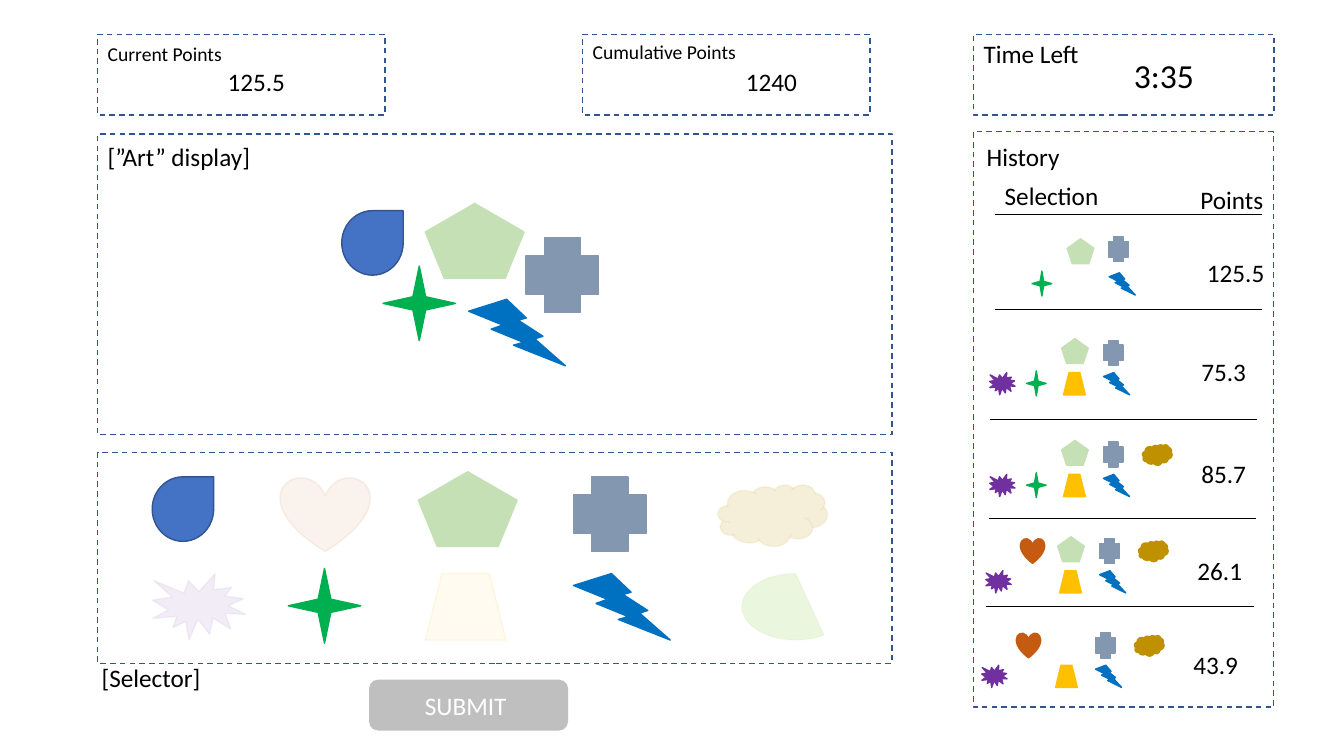
"""Build the slide of a shape-selection game with panels, art, selector and history."""
from lxml.etree import SubElement
from pptx import Presentation
from pptx.dml.color import RGBColor
from pptx.enum.dml import MSO_LINE
from pptx.enum.shapes import MSO_CONNECTOR, MSO_SHAPE as Shape
from pptx.enum.text import MSO_ANCHOR, MSO_AUTO_SIZE, PP_ALIGN
from pptx.oxml.ns import qn
from pptx.util import Pt

BLACK = RGBColor(0x00, 0x00, 0x00)
WHITE = RGBColor(0xFF, 0xFF, 0xFF)
GRAY = RGBColor(0xBF, 0xBF, 0xBF)
NAVY = RGBColor(0x32, 0x54, 0x91)
BLUE = RGBColor(0x44, 0x72, 0xC4)
RUST = RGBColor(0xC5, 0x5A, 0x11)
PALE_GREEN = RGBColor(0xC5, 0xE0, 0xB4)
SLATE = RGBColor(0x84, 0x97, 0xB0)
OCHRE = RGBColor(0xBF, 0x90, 0x00)
PURPLE = RGBColor(0x70, 0x30, 0xA0)
GREEN = RGBColor(0x00, 0xB0, 0x50)
GOLD = RGBColor(0xFF, 0xC0, 0x00)
BRIGHT_BLUE = RGBColor(0x00, 0x70, 0xC0)
LIME = RGBColor(0x92, 0xD0, 0x50)

PANELS = [
    (69.8, 323.3, 567.4, 150.5),
    (69.8, 95.8, 567.4, 214.6),
    (695.2, 94, 214.6, 411.1),
    (69.8, 24.5, 205.2, 57.6),
    (416.2, 24.5, 205.2, 57.6),
    (695.5, 24.5, 214.6, 57.6),
]
LABELS = [
    ("[Selector]", 65.5, 469.4, 85.7, 18),
    ("[”Art” display]", 69.8, 97.2, 117.4, 18),
    ("Current Points", 69.8, 26.6, 97.2, 14),
    ("Cumulative Points", 416.2, 25.2, 151.2, 14),
    ("Time Left", 695.5, 23.8, 83.5, 18),
    ("History", 697.7, 97.2, 67, 18),
    ("Selection", 710.6, 125.3, 81.4, 18),
    ("Points", 850.3, 128.2, 59.8, 18),
    ("3:35", 802.8, 36, 57.6, 24),
    ("1240", 525.6, 43.9, 51.1, 18),
    ("125.5", 155.5, 43.9, 56.2, 18),
]
ICONS = {
    "teardrop": (Shape.TEAR, BLUE, NAVY, 108.7, 340.6, 43.9, 46.1),
    "heart": (Shape.HEART, RUST, RUST, 200.2, 340.6, 64.1, 53.3),
    "pentagon": (Shape.REGULAR_PENTAGON, PALE_GREEN, PALE_GREEN, 298.8, 337, 70.6, 53.3),
    "plus": (Shape.CROSS, SLATE, SLATE, 409.7, 340.6, 51.8, 53.3),
    "cloud": (Shape.CLOUD, OCHRE, OCHRE, 512.6, 346.3, 78.5, 43.9),
    "burst": (Shape.EXPLOSION1, PURPLE, PURPLE, 108.7, 409.7, 67, 47.5),
    "star": (Shape.STAR_4_POINT, GREEN, GREEN, 205.9, 406.1, 51.8, 53.3),
    "trapezoid": (Shape.TRAPEZOID, GOLD, GOLD, 303.8, 409.7, 57.6, 47.5),
    "bolt": (Shape.LIGHTNING_BOLT, BRIGHT_BLUE, BRIGHT_BLUE, 409.7, 409.7, 69.1, 47.5),
    "chord": (Shape.CHORD, LIME, LIME, 529.9, 409.7, 77, 47.5),
}
FADED = {"heart": (8, 8), "cloud": (15, 7), "burst": (9, 6), "trapezoid": (6, 10), "chord": (19, 6)}
ART = [
    ("teardrop", 244.1, 150.5),
    ("pentagon", 303.8, 145.4),
    ("plus", 375.8, 169.9),
    ("star", 273.6, 190.1),
    ("bolt", 334.8, 213.8),
]
HISTORY = [
    ("125.5", 711, 170.6, "pentagon star bolt"),
    ("75.3", 707, 241.9, "pentagon plus burst star trapezoid bolt"),
    ("85.7", 707, 314.6, "pentagon plus cloud burst star trapezoid bolt"),
    ("26.1", 704.2, 383.4, "heart pentagon plus cloud burst trapezoid bolt"),
    ("43.9", 701.3, 450.9, "heart plus cloud burst trapezoid bolt"),
]
FIRST_PLUS = (792, 169.2)
RULES = [(710.6, 153.4), (710.6, 221), (707, 299.5), (706.3, 370.1), (704.2, 433.4)]
RULE_WIDTH = 191.2
GRID_LEFT, GRID_TOP = 108.7, 337
MINI = (0.27, 0.334)
SCORE_OFFSET = (144, 9.4)

presentation = Presentation()
presentation.slide_width, presentation.slide_height = Pt(960), Pt(540)
slide = presentation.slides.add_slide(presentation.slide_layouts[6])


def write_text(shape, text, size=18, color=BLACK, align=PP_ALIGN.LEFT, anchor=MSO_ANCHOR.TOP,
               wrap=False, fit=MSO_AUTO_SIZE.SHAPE_TO_FIT_TEXT):
    """Put formatted text into a shape."""
    frame = shape.text_frame
    frame.word_wrap, frame.auto_size, frame.vertical_anchor = wrap, fit, anchor
    paragraph = frame.paragraphs[0]
    paragraph.alignment = align
    run = paragraph.add_run()
    run.text = text
    run.font.name, run.font.size, run.font.color.rgb = "Calibri", Pt(size), color


def add_label(text, left, top, width, size=18):
    """Add a text box one line high."""
    box = slide.shapes.add_textbox(Pt(left), Pt(top), Pt(width), Pt(size * 1.2 + 7.2))
    write_text(box, text, size=size, wrap=text == "Cumulative Points")


def set_alpha(fill, percent):
    """Make a solid fill partly transparent."""
    color = fill._xPr.find(qn("a:solidFill"))[0]
    SubElement(color, qn("a:alpha")).set("val", str(percent * 1000))


def add_shape(kind, left, top, width, height, fill=None, line=NAVY):
    """Add a preset shape with a thin outline."""
    shape = slide.shapes.add_shape(kind, Pt(left), Pt(top), Pt(width), Pt(height))
    shape.shadow.inherit = False
    if fill is None:
        shape.fill.background()
    else:
        shape.fill.solid()
        shape.fill.fore_color.rgb = fill
    shape.line.color.rgb, shape.line.width = line, Pt(1)
    return shape


def add_icon(name, left, top, scale=(1, 1)):
    """Add a game icon at the given place and scale."""
    kind, fill, line, _, _, width, height = ICONS[name]
    return add_shape(kind, left, top, width * scale[0], height * scale[1], fill, line)


def add_rule(left, top):
    """Add a thin horizontal line of the history list."""
    rule = slide.shapes.add_connector(
        MSO_CONNECTOR.STRAIGHT, Pt(left), Pt(top), Pt(left + RULE_WIDTH), Pt(top))
    rule.line.color.rgb, rule.line.width = BLACK, Pt(0.5)
    SubElement(rule._element.spPr, qn("a:effectLst"))


for panel in PANELS:
    add_shape(Shape.RECTANGLE, *panel).line.dash_style = MSO_LINE.DASH

for name, (_, _, _, left, top, _, _) in ICONS.items():
    icon = add_icon(name, left, top)
    if name in FADED:
        for fill, percent in zip((icon.fill, icon.line.fill), FADED[name]):
            set_alpha(fill, percent)

for label in LABELS:
    add_label(*label)

button = add_shape(Shape.ROUNDED_RECTANGLE, 264.2, 486, 141.1, 35.3, GRAY, GRAY)
write_text(button, "SUBMIT ", color=WHITE, align=PP_ALIGN.CENTER, anchor=MSO_ANCHOR.MIDDLE,
           wrap=True, fit=MSO_AUTO_SIZE.NONE)

for rule in RULES:
    add_rule(*rule)

for score, row_left, row_top, names in HISTORY:
    for name in names.split():
        left, top = ICONS[name][3:5]
        add_icon(name, row_left + (left - GRID_LEFT) * MINI[0],
                 row_top + (top - GRID_TOP) * MINI[1], MINI)
    add_label(score, row_left + SCORE_OFFSET[0], row_top + SCORE_OFFSET[1],
              56.2 if len(score) > 4 else 46.8)
add_icon("plus", *FIRST_PLUS, MINI)

for piece in ART:
    add_icon(*piece)

presentation.save("out.pptx")
